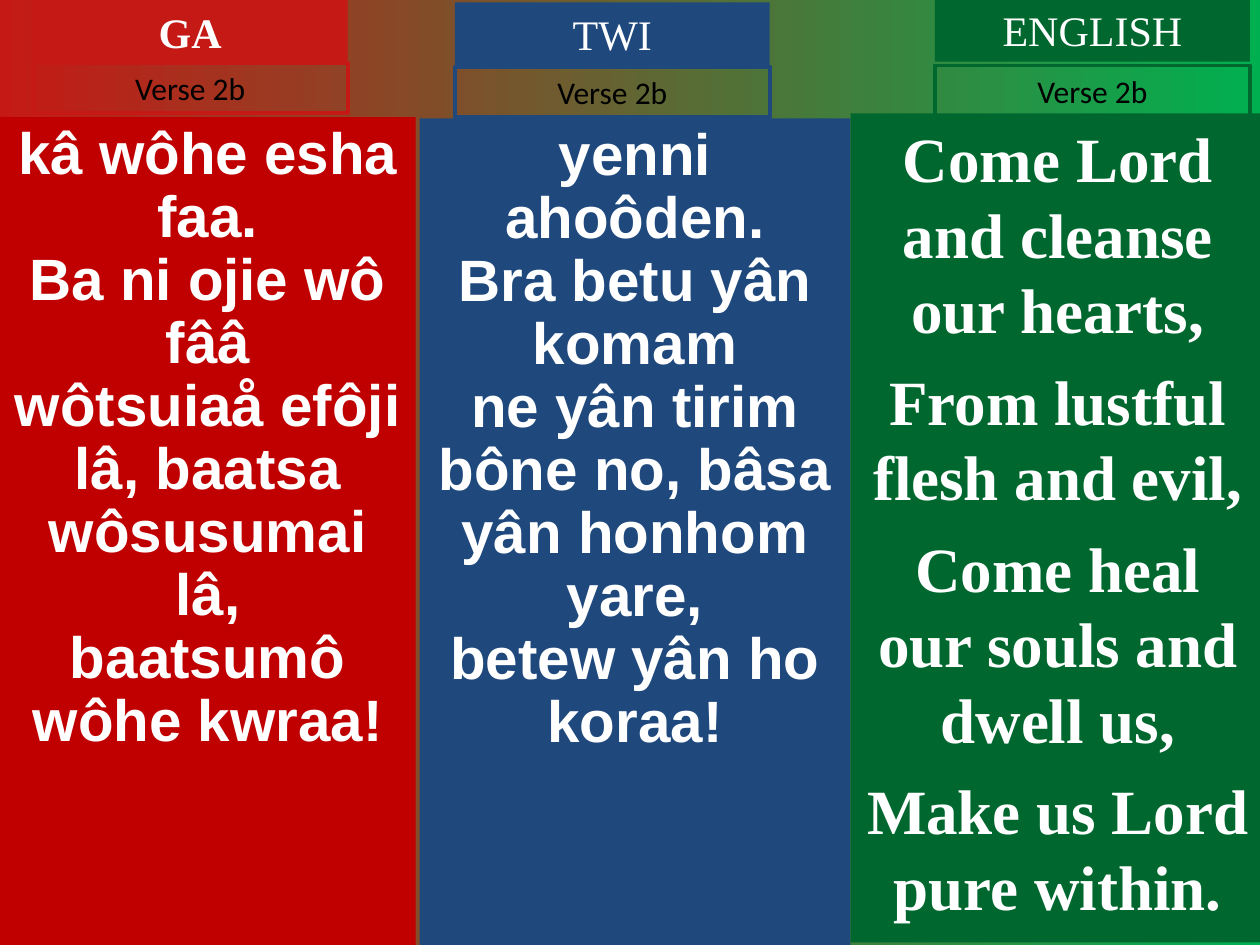
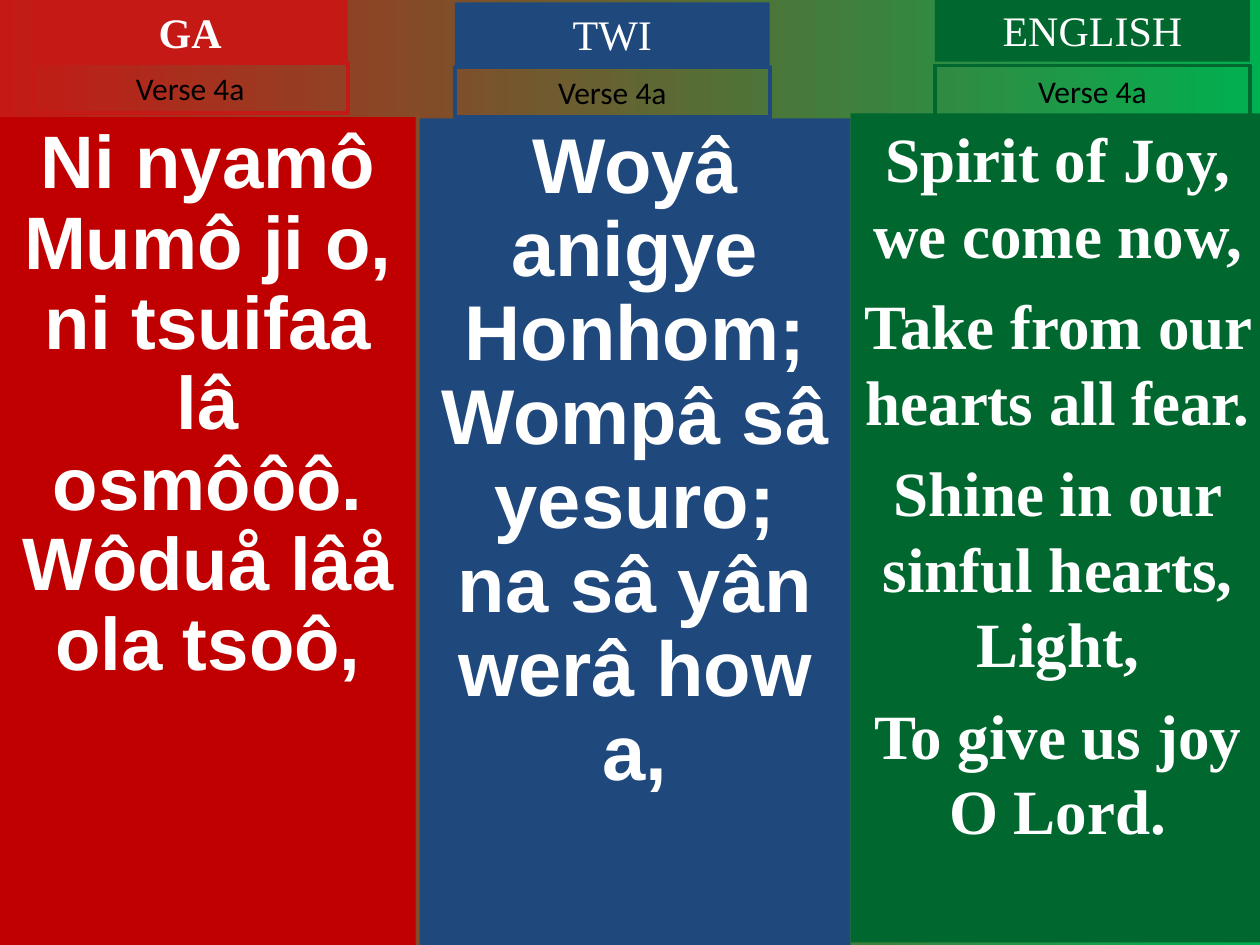
from dataclasses import dataclass

from pptx import Presentation
from pptx.dml.color import RGBColor
from pptx.enum.shapes import MSO_SHAPE
from pptx.enum.text import MSO_ANCHOR, MSO_AUTO_SIZE, PP_ALIGN
from pptx.util import Inches, Pt

RED, BLUE, GREEN = "C51915", "1F497D", "00682F"
PANEL_RED, BRIGHT_GREEN = "C00000", "00B050"
WHITE, BLACK = "FFFFFF", "000000"
SANS, SERIF, LABEL_FONT = "Arial", "Times New Roman", "Calibri"
TAB_WIDTH, TITLE_HEIGHT, VERSE_HEIGHT = 2.5, 0.5, 0.4


@dataclass
class Language:
    name: str
    accent: str
    panel_fill: str
    panel: tuple
    tab_left: float
    title_top: float
    verse_top: float
    font: str
    leading: float
    gap: float = 0
    side_inset: float = 0.1
    bold_title: bool = False


LANGUAGES = [
    Language("GA", RED, PANEL_RED, (0, 0.93, 3.3, 6.57), 0.26, 0, 0.5,
             SANS, 1.08, bold_title=True),
    Language("TWI", BLUE, BLUE, (3.33, 0.94, 3.42, 6.56), 3.61, 0.02, 0.53,
             SANS, 1.08),
    Language("ENGLISH", GREEN, GREEN, (6.75, 0.9, 3.29, 6.58), 7.42, -0.01, 0.52,
             SERIF, 1.2, gap=9, side_inset=0.09),
]

VERSES = [
    ("Verse 2b", [
        (33.3, ["kâ wôhe esha faa.", "Ba ni ojie wô fââ",
                "wôtsuiaå efôji lâ, baatsa wôsusumai lâ,",
                "baatsumô wôhe kwraa!"]),
        (33.3, ["yenni ahoôden.", "Bra betu yân komam",
                "ne yân tirim bône no, bâsa yân honhom yare,",
                "betew yân ho koraa!"]),
        (36, ["Come Lord and cleanse our hearts,", "From lustful flesh and evil,",
              "Come heal our souls and dwell us,", "Make us Lord pure within."]),
    ]),
    ("Verse 4a", [
        (42.5, ["Ni nyamô Mumô ji o,", "ni tsuifaa lâ osmôôô.",
                "Wôduå lâå ola tsoô,"]),
        (44.4, ["Woyâ anigye Honhom;", "Wompâ sâ yesuro;",
                "na sâ yân werâ how a,"]),
        (36, ["Spirit of Joy, we come now,", "Take from our hearts all fear.",
              "Shine in our sinful hearts, Light,", "To give us joy O Lord."]),
    ]),
]


def color(value):
    return RGBColor.from_string(value)


def paint_background(page):
    fill = page.background.fill
    fill.gradient()
    fill.gradient_angle = 0
    for stop, shade, position in zip(fill.gradient_stops, (RED, BRIGHT_GREEN), (0, 1)):
        stop.color.rgb = color(shade)
        stop.position = position


def add_box(page, bounds, fill=None, line=None, side_inset=0.1):
    box = page.shapes.add_shape(MSO_SHAPE.RECTANGLE, *map(Inches, bounds))
    box.shadow.inherit = False
    if fill:
        box.fill.solid()
        box.fill.fore_color.rgb = color(fill)
    else:
        box.fill.background()
    if line:
        box.line.color.rgb = color(line)
        box.line.width = Pt(2.25)
    else:
        box.line.fill.background()
    frame = box.text_frame
    frame.word_wrap = True
    frame.vertical_anchor = MSO_ANCHOR.TOP
    frame.margin_left = frame.margin_right = Inches(side_inset)
    frame.margin_top = frame.margin_bottom = Inches(0.05)
    return box


def write(para, text, font, size, shade, bold=False):
    para.alignment = PP_ALIGN.CENTER
    span = para.add_run()
    span.text = text
    span.font.name = font
    span.font.size = Pt(size)
    span.font.bold = bold
    span.font.color.rgb = color(shade)


def add_lyrics(page, language, size, lines):
    box = add_box(page, language.panel, fill=language.panel_fill,
                  side_inset=language.side_inset)
    frame = box.text_frame
    for index, line in enumerate(lines):
        para = frame.add_paragraph() if index else frame.paragraphs[0]
        para.line_spacing = Pt(size * language.leading)
        para.space_before = Pt(language.gap if index else 0)
        write(para, line, language.font, size, WHITE, bold=True)


def add_heading(page, language, verse):
    title = add_box(page, (language.tab_left, language.title_top, TAB_WIDTH, TITLE_HEIGHT),
                    fill=language.accent)
    write(title.text_frame.paragraphs[0], language.name, SERIF, 24, WHITE,
          language.bold_title)
    label = add_box(page, (language.tab_left, language.verse_top, TAB_WIDTH, VERSE_HEIGHT),
                    line=language.accent)
    write(label.text_frame.paragraphs[0], verse, LABEL_FONT, 18, BLACK)
    for box in (title, label):
        box.text_frame.auto_size = MSO_AUTO_SIZE.SHAPE_TO_FIT_TEXT


def add_verse_page(deck, verse, columns):
    page = deck.slides.add_slide(deck.slide_layouts[6])
    paint_background(page)
    for language, (size, lines) in zip(LANGUAGES, columns):
        add_lyrics(page, language, size, lines)
        add_heading(page, language, verse)


def main():
    deck = Presentation()
    deck.slide_width, deck.slide_height = Inches(10), Inches(7.5)
    for verse, columns in VERSES:
        add_verse_page(deck, verse, columns)
    deck.save("out.pptx")


if __name__ == "__main__":
    main()
